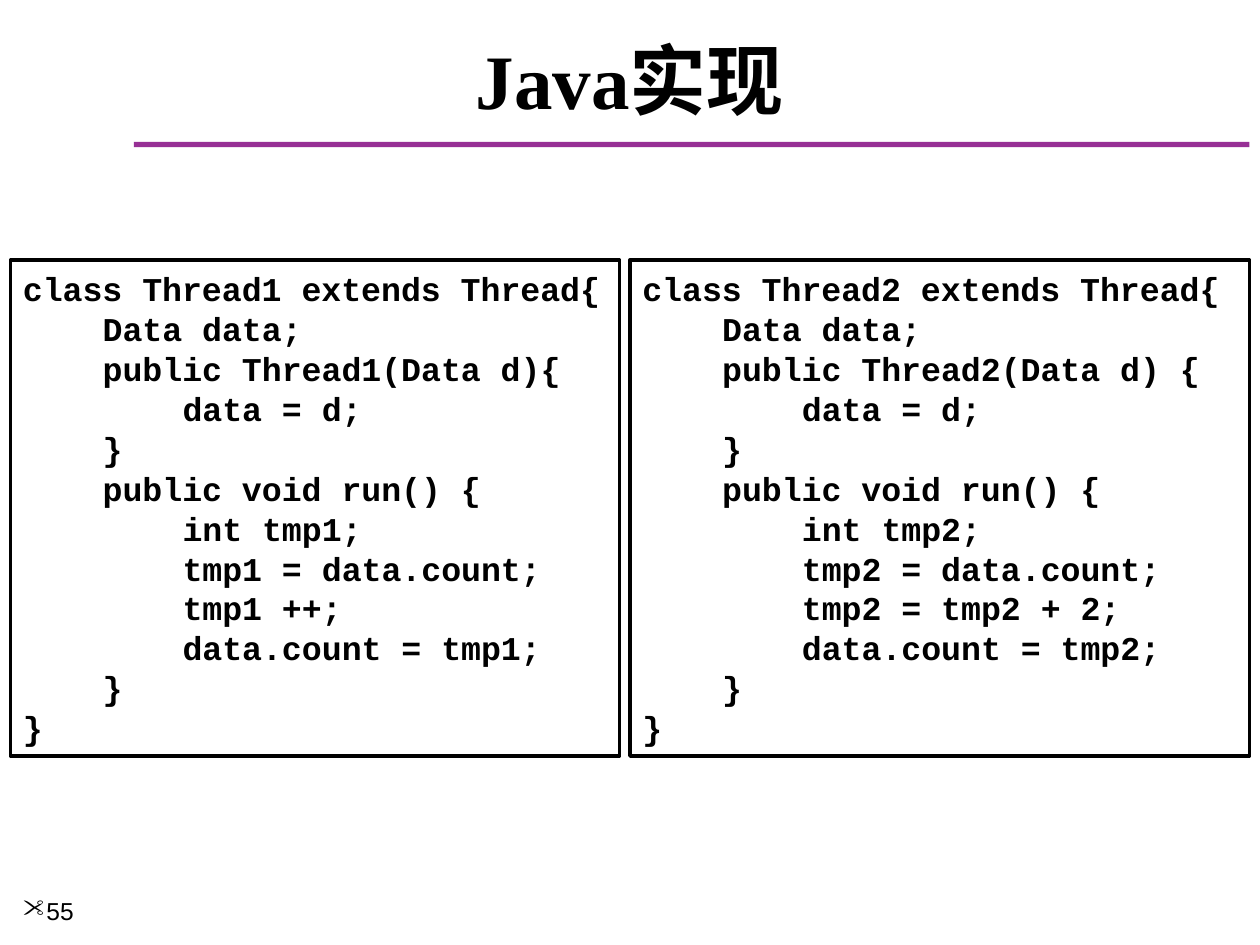
"""Build a slide that sets the code of two Java threads side by side."""
from lxml.etree import SubElement
from pptx import Presentation
from pptx.dml.color import RGBColor
from pptx.enum.shapes import MSO_SHAPE
from pptx.enum.text import MSO_ANCHOR, PP_ALIGN
from pptx.oxml.ns import qn
from pptx.util import Inches, Pt

presentation = Presentation()
presentation.slide_width, presentation.slide_height = Inches(10), Inches(7.5)
COLUMN = presentation.slide_width / 120
ROW = presentation.slide_height / 120
HANGING = Inches(0.38)
CODE_STEP = Pt(45.6)


def grid(left, top, width, height):
    return [int(left * COLUMN), int(top * ROW), int(width * COLUMN), int(height * ROW)]


def write(paragraph, text, size=19, font="Courier New", bold=True, color="000000",
          align=PP_ALIGN.LEFT, asian_font=None):
    paragraph.alignment = align
    run = paragraph.add_run()
    run.text = text
    run.font.size, run.font.name, run.font.bold = Pt(size), font, bold
    run.font.color.rgb = RGBColor.from_string(color)
    if asian_font:
        SubElement(run.font._element, qn("a:ea"), typeface=asian_font)


slide = presentation.slides.add_slide(presentation.slide_layouts[5])

rule = slide.shapes.add_shape(MSO_SHAPE.RECTANGLE, *grid(12.75, 18, 106.25, 0.7))
rule.shadow.inherit = False
rule.fill.solid()
rule.fill.fore_color.rgb = RGBColor.from_string("973095")
rule.line.fill.background()

title = slide.shapes.title
title.left, title.top, title.width, title.height = grid(2, 4, 116, 12)
title.text_frame.vertical_anchor = MSO_ANCHOR.MIDDLE
for text, font in (("Java", "Times New Roman"), ("实现", "Noto Sans CJK SC")):
    write(title.text_frame.paragraphs[0], text, size=44, font=font,
          align=PP_ALIGN.CENTER, asian_font="Noto Sans CJK SC")

number_box = slide.shapes.add_textbox(*grid(1, 113, 13, 7))
number_box.text_frame.word_wrap = True
number = number_box.text_frame.paragraphs[0]
write(number, "55", size=14, font="Arial", bold=False)
number_format = number._p.get_or_add_pPr()
SubElement(number_format, qn("a:buFont"), typeface="Wingdings")
SubElement(number_format, qn("a:buChar"), char='"')

threads = [
    (1, 58, 1, "Thread1(Data d){", "tmp1 ++;"),
    (60, 59, 2, "Thread2(Data d) {", "tmp2 = tmp2 + 2;"),
]
for left, width, index, constructor, update in threads:
    code = [
        (0, f"class Thread{index} extends Thread{{"),
        (1, "Data data;"),
        (1, f"public {constructor}"),
        (2, "data = d;"),
        (1, "}"),
        (1, "public void run() {"),
        (2, f"int tmp{index};"),
        (2, f"tmp{index} = data.count;"),
        (2, update),
        (2, f"data.count = tmp{index};"),
        (1, "}"),
        (0, "}"),
    ]
    box = slide.shapes.add_shape(MSO_SHAPE.RECTANGLE, *grid(left, 33, width, 63))
    box.shadow.inherit = False
    box.fill.background()
    box.line.color.rgb = RGBColor.from_string("000000")
    box.line.width = Pt(2)
    frame = box.text_frame
    frame.word_wrap = True
    frame.vertical_anchor = MSO_ANCHOR.MIDDLE
    for position, (level, text) in enumerate(code):
        paragraph = frame.add_paragraph() if position else frame.paragraphs[0]
        paragraph.line_spacing = Pt(22.8)
        write(paragraph, text)
        paragraph_format = paragraph._p.get_or_add_pPr()
        paragraph_format.set("marL", str(HANGING + level * CODE_STEP))
        paragraph_format.set("indent", str(-HANGING))

presentation.save("out.pptx")
